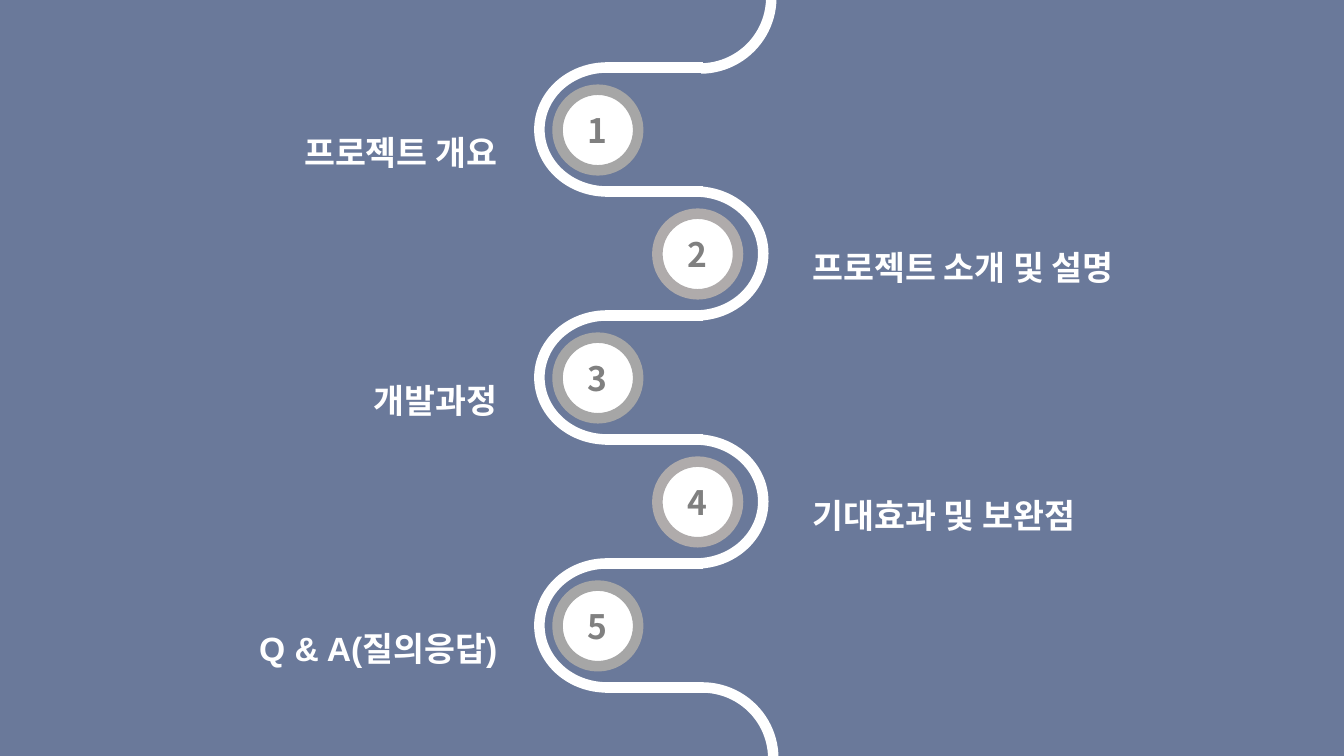
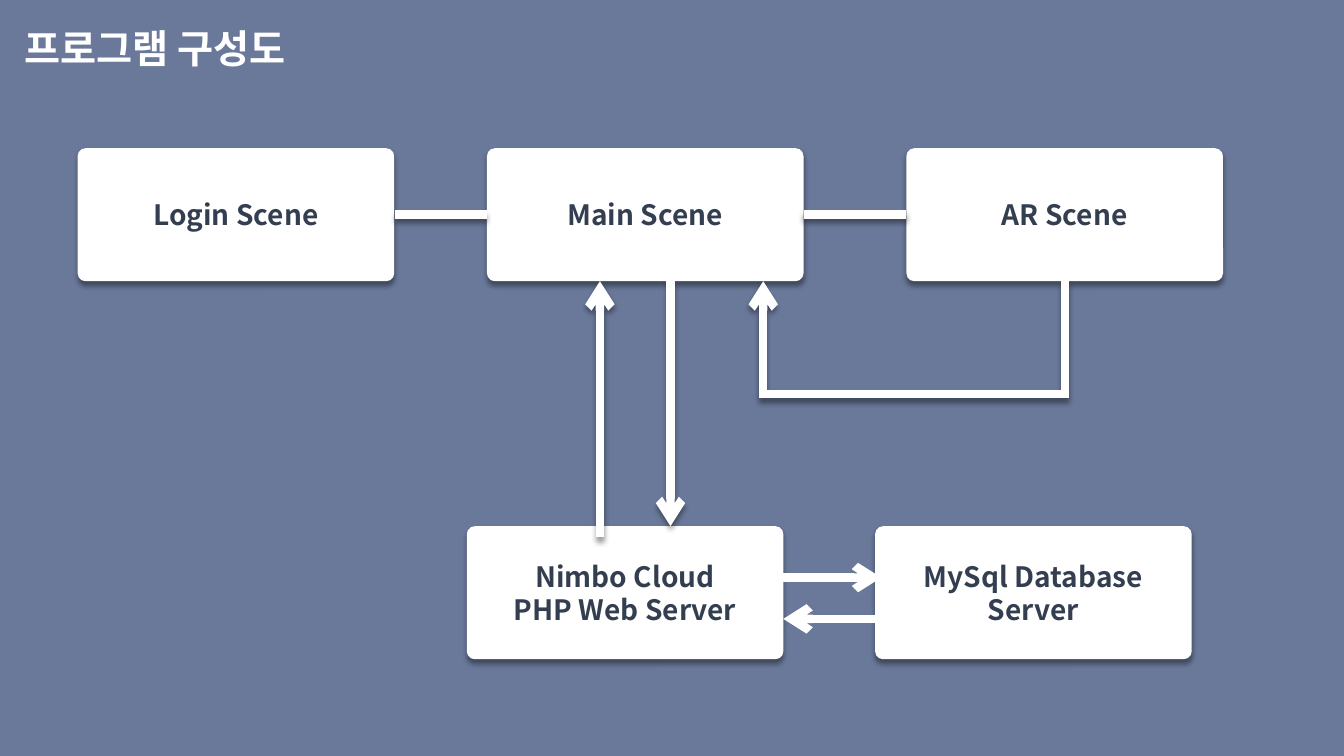
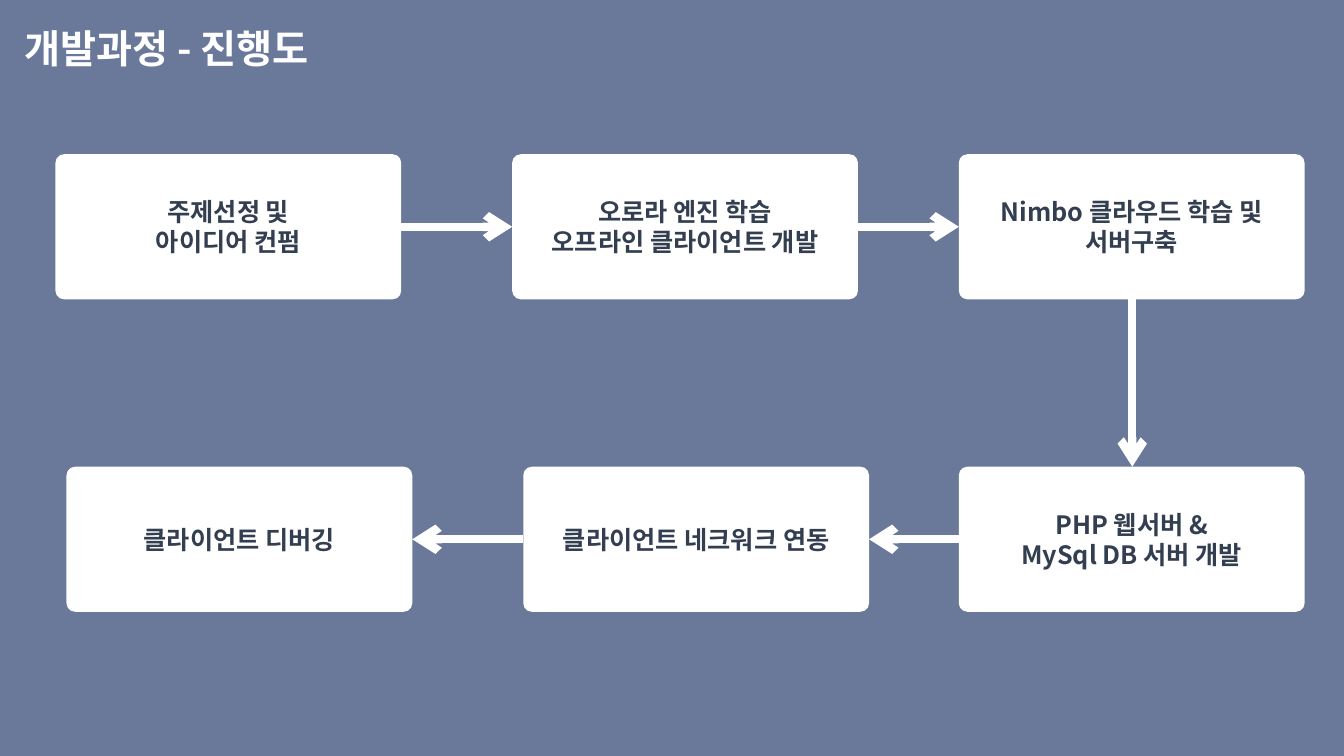
"""Build a project deck: a winding agenda, a program structure and a progress flow."""
from dataclasses import dataclass

import pptx
import pptx.dml.color
import pptx.enum.shapes
import pptx.enum.text
import pptx.oxml
import pptx.oxml.ns
import pptx.util
from lxml import etree
from pptx.util import Inches

SHAPE = pptx.enum.shapes.MSO_SHAPE
ALIGN = pptx.enum.text.PP_ALIGN
ANCHOR = pptx.enum.text.MSO_ANCHOR
qn = pptx.oxml.ns.qn

COLORS = {
    "background": "6A799A",
    "white": "FFFFFF",
    "box_text": "333F50",
    "number": "808080",
    "left_ring": "A6A6A6",
    "right_ring": "AFABAB",
    "shadow": "000000",
}
KOREAN_FONT = "Noto Sans CJK KR"
ROAD_WIDTH = 7.5
ARROW_WIDTH = 6
ROAD_TOP = 0.67
TURN_HEIGHT = 1.23
TURN_WIDTH = 0.67


@dataclass(frozen=True)
class Side:
    turn_left: float
    rotation: int
    ring_left: float
    ring_color: str
    label_left: float
    label_drop: float
    align: ALIGN


@dataclass(frozen=True)
class BoxStyle:
    width: float
    height: float
    size: int
    shadowed: bool


@dataclass(frozen=True)
class Box:
    left: float
    top: float
    text: str


@dataclass(frozen=True)
class Link:
    start: tuple[float, float]
    end: tuple[float, float]
    arrow: bool = True
    shadowed: bool = False


LEFT = Side(5.35, 0, 5.53, "left_ring", 1.11, 0.39, ALIGN.RIGHT)
RIGHT = Side(6.9, 180, 6.52, "right_ring", 7.96, 0.3, ALIGN.LEFT)
AGENDA = ["프로젝트 개요", "프로젝트 소개 및 설명", "개발과정", "기대효과 및 보완점", "Q & A(질의응답)"]

SCENE_STYLE = BoxStyle(3.14, 1.32, 20, True)
SCENE_BOXES = [
    Box(0.77, 1.47, "Login Scene"),
    Box(4.83, 1.47, "Main Scene"),
    Box(8.99, 1.47, "AR Scene"),
    Box(4.63, 5.22, "Nimbo Cloud\nPHP Web Server"),
    Box(8.68, 5.22, "MySql Database\nServer"),
]
SCENE_LINKS = [
    Link((3.92, 2.13), (4.83, 2.13), arrow=False, shadowed=True),
    Link((7.97, 2.13), (8.99, 2.13), arrow=False, shadowed=True),
    Link((6.65, 2.79), (6.65, 5.22), shadowed=True),
    Link((5.95, 5.33), (5.95, 2.79), shadowed=True),
    Link((7.77, 5.73), (8.74, 5.73)),
    Link((8.78, 6.14), (7.77, 6.14)),
]
RETURN_ROUTE = [(10.56, 2.79), (10.56, 3.91), (7.57, 3.91), (7.57, 2.79)]

STEP_STYLE = BoxStyle(3.43, 1.44, 18, False)
STEP_BOXES = [
    Box(0.55, 1.53, "주제선정 및\n아이디어 컨펌"),
    Box(5.08, 1.53, "오로라 엔진 학습\n오프라인 클라이언트 개발"),
    Box(9.51, 1.53, "Nimbo 클라우드 학습 및\n서버구축"),
    Box(9.51, 4.63, "PHP 웹서버 &\nMySql DB 서버 개발"),
    Box(5.19, 4.63, "클라이언트 네크워크 연동"),
    Box(0.66, 4.63, "클라이언트 디버깅"),
]
STEP_LINKS = [
    Link((3.98, 2.25), (5.08, 2.25)),
    Link((8.51, 2.25), (9.51, 2.25)),
    Link((11.23, 2.97), (11.23, 4.63)),
    Link((9.51, 5.35), (8.62, 5.35)),
    Link((5.19, 5.35), (4.09, 5.35)),
]


def rgb(name: str) -> pptx.dml.color.RGBColor:
    return pptx.dml.color.RGBColor.from_string(COLORS[name])


def set_effect(shape, shadowed: bool = False) -> None:
    effects = etree.SubElement(shape._element.spPr, qn("a:effectLst"))
    if shadowed:
        outer = etree.SubElement(
            effects, qn("a:outerShdw"), blurRad=str(pptx.util.Pt(4)),
            dist=str(pptx.util.Pt(3)), dir="5400000", algn="t", rotWithShape="0",
        )
        tint = etree.SubElement(outer, qn("a:srgbClr"), val=COLORS["shadow"])
        etree.SubElement(tint, qn("a:alpha"), val="40000")


def set_line(shape, color: str, width: float) -> None:
    shape.line.color.rgb = rgb(color)
    shape.line.width = pptx.util.Pt(width)


def write(frame, text: str, size: int, color: str, align: ALIGN,
          font: str = KOREAN_FONT, spacing: float = 1.0) -> None:
    frame.word_wrap = True
    frame.text = text
    for paragraph in frame.paragraphs:
        paragraph.alignment = align
        paragraph.line_spacing = spacing
        for run in paragraph.runs:
            run.font.size = pptx.util.Pt(size)
            run.font.bold = True
            run.font.name = font
            run.font.color.rgb = rgb(color)
            etree.SubElement(run.font._element, qn("a:ea"), typeface=KOREAN_FONT)


def add_outline(slide, kind: SHAPE, left: float, top: float, width: float,
                height: float, adjustments: list[float]):
    outline = slide.shapes.add_shape(
        kind, Inches(left), Inches(top), Inches(width), Inches(height))
    for index, value in enumerate(adjustments):
        outline.adjustments[index] = value
    outline.fill.background()
    set_line(outline, "white", ROAD_WIDTH)
    set_effect(outline)
    return outline


def add_line(slide, start: tuple[float, float], end: tuple[float, float], width: float):
    line = slide.shapes.add_connector(
        pptx.enum.shapes.MSO_CONNECTOR.STRAIGHT,
        *(Inches(value) for value in (*start, *end)))
    set_line(line, "white", width)
    return line


def add_arrowhead(shape) -> None:
    stroke = shape.line._get_or_add_ln()
    etree.SubElement(stroke, qn("a:miter"), lim="800000")
    etree.SubElement(stroke, qn("a:tailEnd"), type="arrow")


def add_link(slide, link: Link) -> None:
    line = add_line(slide, link.start, link.end, ARROW_WIDTH)
    if link.arrow:
        add_arrowhead(line)
    set_effect(line, link.shadowed)


def add_route(slide, points: list[tuple[float, float]]) -> None:
    first, *rest = [(Inches(x), Inches(y)) for x, y in points]
    builder = slide.shapes.build_freeform(*first)
    builder.add_line_segments(rest, close=False)
    route = builder.convert_to_shape()
    route.fill.background()
    set_line(route, "white", ARROW_WIDTH)
    add_arrowhead(route)
    set_effect(route, True)


def add_box(slide, box: Box, style: BoxStyle) -> None:
    card = slide.shapes.add_shape(
        SHAPE.ROUNDED_RECTANGLE, Inches(box.left), Inches(box.top),
        Inches(style.width), Inches(style.height))
    card.adjustments[0] = 0.06
    card.fill.solid()
    card.fill.fore_color.rgb = rgb("white")
    card.line.fill.background()
    set_effect(card, style.shadowed)
    card.text_frame.vertical_anchor = ANCHOR.MIDDLE
    write(card.text_frame, box.text, style.size, "box_text", ALIGN.CENTER)


def add_turn(slide, index: int, label: str) -> None:
    side = RIGHT if index % 2 else LEFT
    top = ROAD_TOP + index * TURN_HEIGHT
    turn = add_outline(slide, SHAPE.LEFT_BRACKET, side.turn_left, top,
                       TURN_WIDTH, TURN_HEIGHT, [TURN_HEIGHT / TURN_WIDTH / 2])
    turn.rotation = side.rotation

    ring = slide.shapes.add_shape(
        SHAPE.OVAL, Inches(side.ring_left), Inches(top + 0.22), Inches(0.8), Inches(0.8))
    ring.fill.solid()
    ring.fill.fore_color.rgb = rgb("white")
    set_line(ring, side.ring_color, ROAD_WIDTH)
    set_effect(ring)
    ring.text_frame.vertical_anchor = ANCHOR.MIDDLE
    write(ring.text_frame, str(index + 1), 24, "number", ALIGN.CENTER)

    caption = slide.shapes.add_textbox(
        Inches(side.label_left), Inches(top + side.label_drop), Inches(3.92), Inches(0.63))
    write(caption.text_frame, label, 24, "white", side.align, "Arial", 1.5)


def add_agenda(deck) -> None:
    slide = deck.slides.add_slide(deck.slide_layouts[6])
    for index, label in enumerate(AGENDA):
        add_turn(slide, index, label)
    for index in range(len(AGENDA) + 1):
        level = ROAD_TOP + index * TURN_HEIGHT
        set_effect(add_line(slide, (6, level), (6.97, level), ROAD_WIDTH))
    add_outline(slide, SHAPE.ARC, 6.24, -0.73, 1.41, 1.41, [1.2, 53.68])
    add_outline(slide, SHAPE.ARC, 6.26, 6.82, 1.41, 1.41, [162, 0.24])


def add_diagram(deck, heading: str, boxes: list[Box], style: BoxStyle, links: list[Link]):
    slide = deck.slides.add_slide(deck.slide_layouts[5])
    title = slide.shapes.title
    title.left, title.top = Inches(0.14), Inches(0.19)
    title.width, title.height = Inches(5.22), Inches(0.57)
    title.text_frame.vertical_anchor = ANCHOR.TOP
    title.text_frame.auto_size = pptx.enum.text.MSO_AUTO_SIZE.NONE
    write(title.text_frame, heading, 28, "white", ALIGN.LEFT)
    for box in boxes:
        add_box(slide, box, style)
    for link in links:
        add_link(slide, link)
    return slide


def main() -> None:
    deck = pptx.Presentation()
    deck.slide_width, deck.slide_height = Inches(13.33), Inches(7.5)
    backdrop = deck.slide_master.background.fill
    backdrop.solid()
    backdrop.fore_color.rgb = rgb("background")

    add_agenda(deck)
    structure = add_diagram(deck, "프로그램 구성도", SCENE_BOXES, SCENE_STYLE, SCENE_LINKS)
    add_route(structure, RETURN_ROUTE)
    add_diagram(deck, "개발과정 - 진행도", STEP_BOXES, STEP_STYLE, STEP_LINKS)
    deck.save("out.pptx")


if __name__ == "__main__":
    main()
